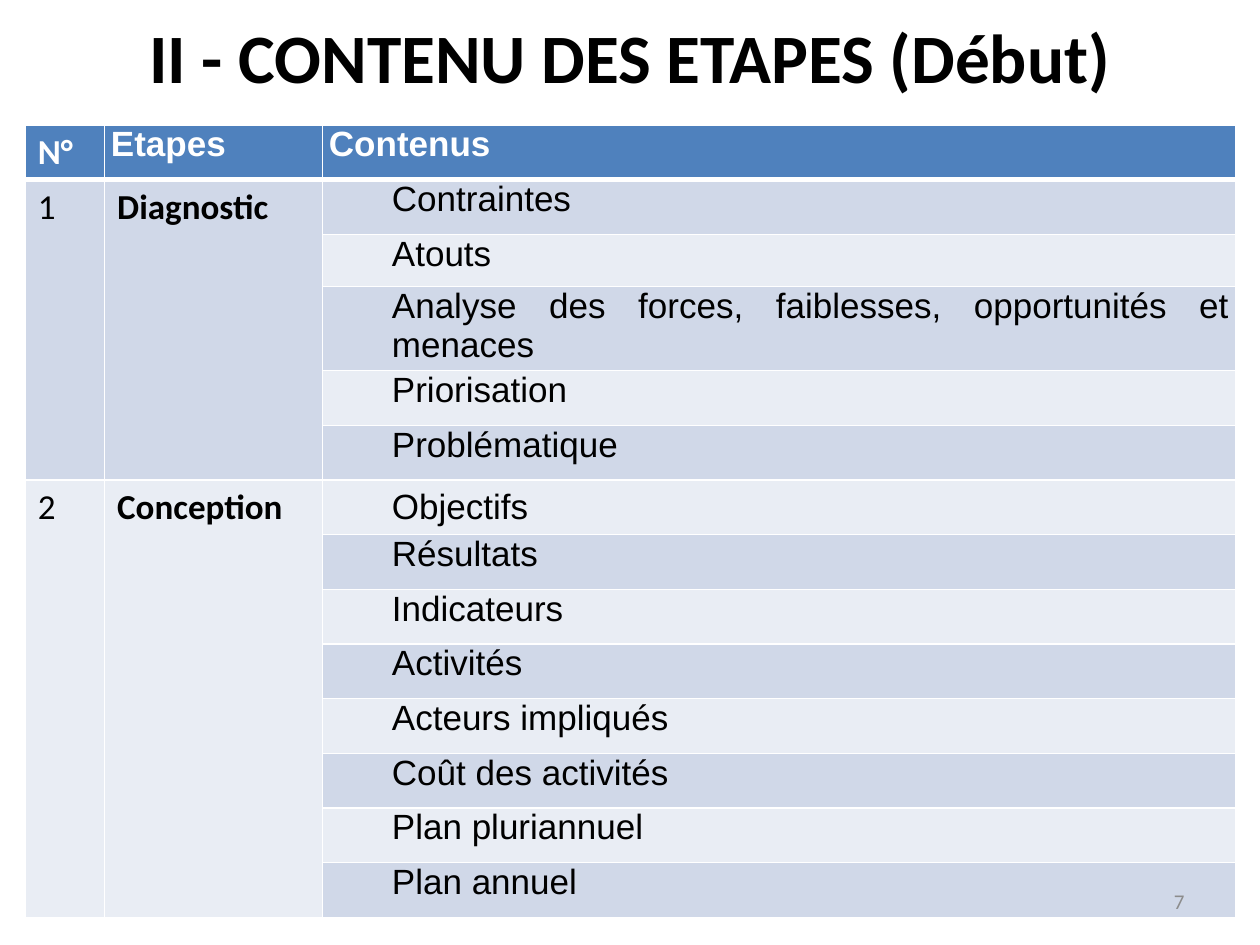
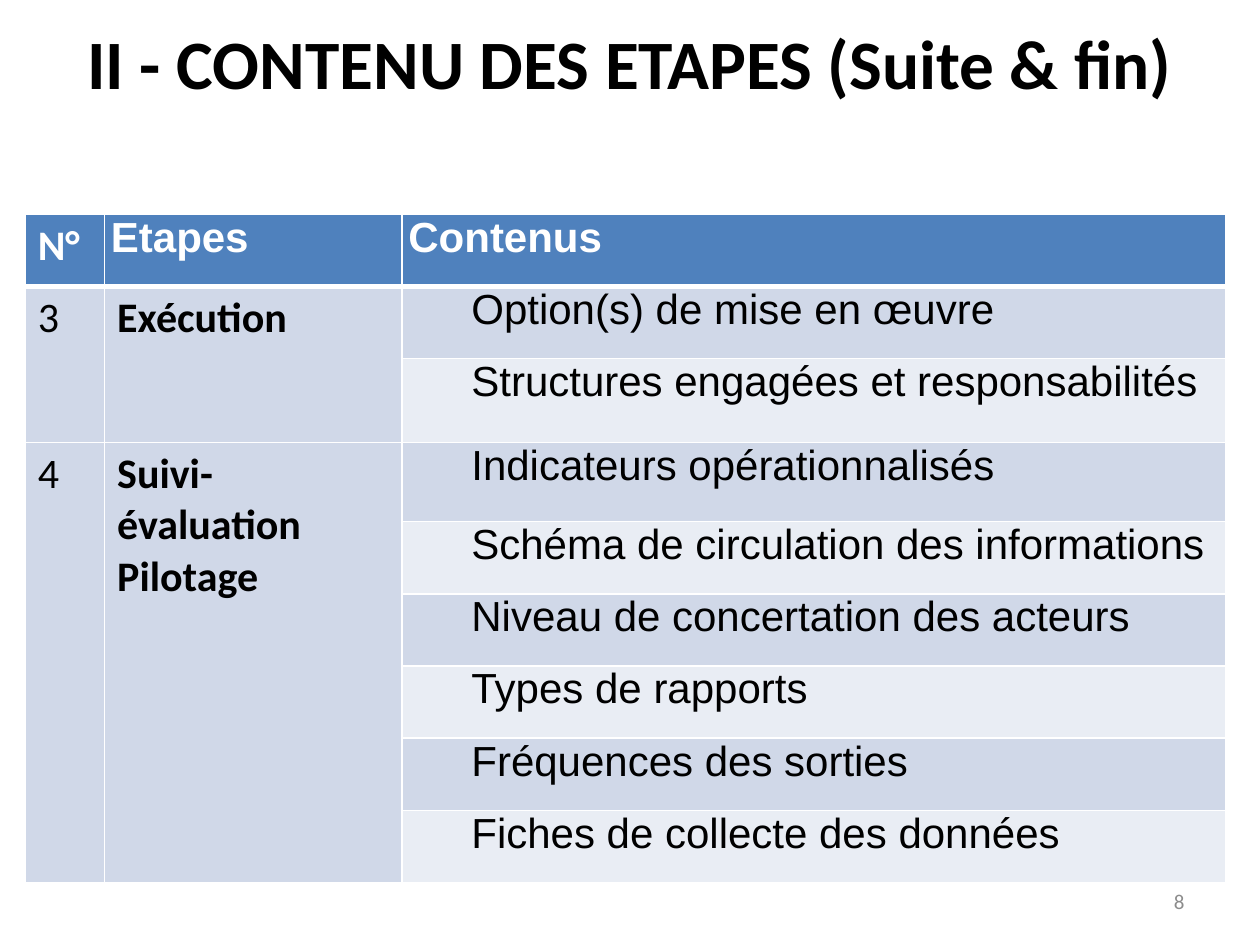
from dataclasses import dataclass

from lxml import etree
from pptx import Presentation
from pptx.dml.color import RGBColor
from pptx.enum.text import MSO_ANCHOR, PP_ALIGN
from pptx.oxml.ns import qn
from pptx.util import Pt

LEFT, CENTER, RIGHT = PP_ALIGN.LEFT, PP_ALIGN.CENTER, PP_ALIGN.RIGHT
JUSTIFY = PP_ALIGN.JUSTIFY
TOP, MIDDLE = MSO_ANCHOR.TOP, MSO_ANCHOR.MIDDLE
BLANK_LAYOUT = 6


@dataclass(frozen=True)
class Theme:
    ink: str = "000000"
    white: str = "FFFFFF"
    header: str = "4F81BD"
    bands: tuple = ("D0D8E8", "E9EDF4")
    muted: str = "8C8C8C"
    label_font: str = "Calibri"
    content_font: str = "Arial"
    title_size: float = 39.6
    number_size: float = 12
    rule: float = 1
    header_rule: float = 3


@dataclass(frozen=True)
class Stage:
    number: str
    name: str
    contents: tuple
    first_anchor: MSO_ANCHOR = TOP


class StageDeck:
    def __init__(self, theme):
        self.theme = theme
        self.deck = Presentation()
        self.deck.slide_width, self.deck.slide_height = Pt(720), Pt(540)
        self.page = None

    def add_page(self, title, title_top, number):
        layout = self.deck.slide_layouts[BLANK_LAYOUT]
        self.page = self.deck.slides.add_slide(layout)
        self.add_label(title, (36, title_top, 648, 34), self.theme.title_size,
                       self.theme.ink, CENTER, bold=True)
        return number

    def add_label(self, text, place, size, color, align, bold=False):
        box = self.page.shapes.add_textbox(*(Pt(length) for length in place))
        frame = box.text_frame
        frame.word_wrap = True
        frame.vertical_anchor = MIDDLE
        frame.text = text
        self.style(frame.paragraphs[0], self.theme.label_font, size, color, align, bold)

    def add_page_number(self, number):
        self.add_label(str(number), (516, 500.5, 168, 28.75), self.theme.number_size,
                       self.theme.muted, RIGHT)

    @staticmethod
    def style(para, font, size, color, align, bold):
        para.alignment = align
        para.font.name = font
        para.font.size = Pt(size)
        para.font.bold = bold
        para.font.color.rgb = RGBColor.from_string(color)

    def add_borders(self, cell, bottom):
        properties = cell._tc.get_or_add_tcPr()
        for position, side in enumerate("LRTB"):
            width = bottom if side == "B" else self.theme.rule
            line = etree.Element(qn(f"a:ln{side}"), w=str(Pt(width)))
            fill = etree.SubElement(line, qn("a:solidFill"))
            etree.SubElement(fill, qn("a:srgbClr"), val=self.theme.white)
            properties.insert(position, line)

    def fill_label(self, cell, text, size, color, bold):
        cell.text = text
        for para in cell.text_frame.paragraphs:
            self.style(para, self.theme.label_font, size, color, LEFT, bold)

    def fill_content(self, cell, text, size, color, bold=False, indent=0, anchor=TOP):
        cell.margin_left = cell.margin_right = Pt(3.6)
        cell.margin_top = cell.margin_bottom = 0
        cell.vertical_anchor = anchor
        cell.text = text
        para = cell.text_frame.paragraphs[0]
        self.style(para, self.theme.content_font, size, color, JUSTIFY, bold)
        para.space_before = para.space_after = Pt(3)
        if indent:
            properties = para._p.get_or_add_pPr()
            properties.set("marL", str(Pt(indent)))
            properties.set("indent", "0")

    def add_stage_table(self, top, widths, heights, size, stages):
        theme = self.theme
        table = self.page.shapes.add_table(
            len(heights), len(widths), Pt(14.4), Pt(top),
            Pt(sum(widths)), Pt(sum(heights))).table
        table.horz_banding = False
        for column, width in zip(table.columns, widths):
            column.width = Pt(width)
        for row, height in zip(table.rows, heights):
            row.height = Pt(height)

        # Bands and white rules
        for index, row in enumerate(table.rows):
            color = theme.bands[(index - 1) % 2] if index else theme.header
            for cell in row.cells:
                self.add_borders(cell, theme.rule if index else theme.header_rule)
                cell.fill.solid()
                cell.fill.fore_color.rgb = RGBColor.from_string(color)

        # Header row
        self.fill_label(table.cell(0, 0), "N°", size, theme.white, True)
        for column, heading in enumerate(("Etapes", "Contenus"), 1):
            self.fill_content(table.cell(0, column), heading, size, theme.white, True)

        # Stages, each spanning its contents
        first = 1
        for stage in stages:
            last = first + len(stage.contents) - 1
            for column, text in enumerate((stage.number, stage.name)):
                cell = table.cell(first, column)
                cell.merge(table.cell(last, column))
                self.fill_label(cell, text, size, theme.ink, column == 1)
            for index, content in enumerate(stage.contents):
                anchor = TOP if index else stage.first_anchor
                self.fill_content(table.cell(first + index, 2), content, size,
                                  theme.ink, indent=36, anchor=anchor)
            first = last + 1


START_STAGES = (
    Stage("1", "Diagnostic", (
        "Contraintes", "Atouts",
        "Analyse des forces, faiblesses, opportunités et menaces",
        "Priorisation", "Problématique")),
    Stage("2", "Conception", (
        "Objectifs", "Résultats", "Indicateurs", "Activités", "Acteurs impliqués",
        "Coût des activités", "Plan pluriannuel", "Plan annuel"), MIDDLE),
)
END_STAGES = (
    Stage("3", "Exécution", (
        "Option(s) de mise en œuvre", "Structures engagées et responsabilités")),
    Stage("4", "Suivi-évaluation\nPilotage", (
        "Indicateurs opérationnalisés", "Schéma de circulation des informations",
        "Niveau de concertation des acteurs", "Types de rapports",
        "Fréquences des sorties", "Fiches de collecte des données")),
)


def main():
    slides = StageDeck(Theme())

    # Stages 1 and 2
    slides.add_page("II - CONTENU DES ETAPES (Début)", 15, 7)
    slides.add_stage_table(71.5, (45.4, 124.6, 521.6),
                           [31.25] * 2 + [29.8] + [31.25] * 11, 20, START_STAGES)
    slides.add_page_number(7)

    # Stages 3 and 4
    slides.add_page("II - CONTENU DES ETAPES (Suite & fin)", 18.5, 8)
    slides.add_stage_table(122.4, (45.4, 170, 470.9),
                           [41.25] * 2 + [48, 45.2] + [41.25] * 5, 24, END_STAGES)
    slides.add_page_number(8)

    slides.deck.save("out.pptx")


if __name__ == "__main__":
    main()
